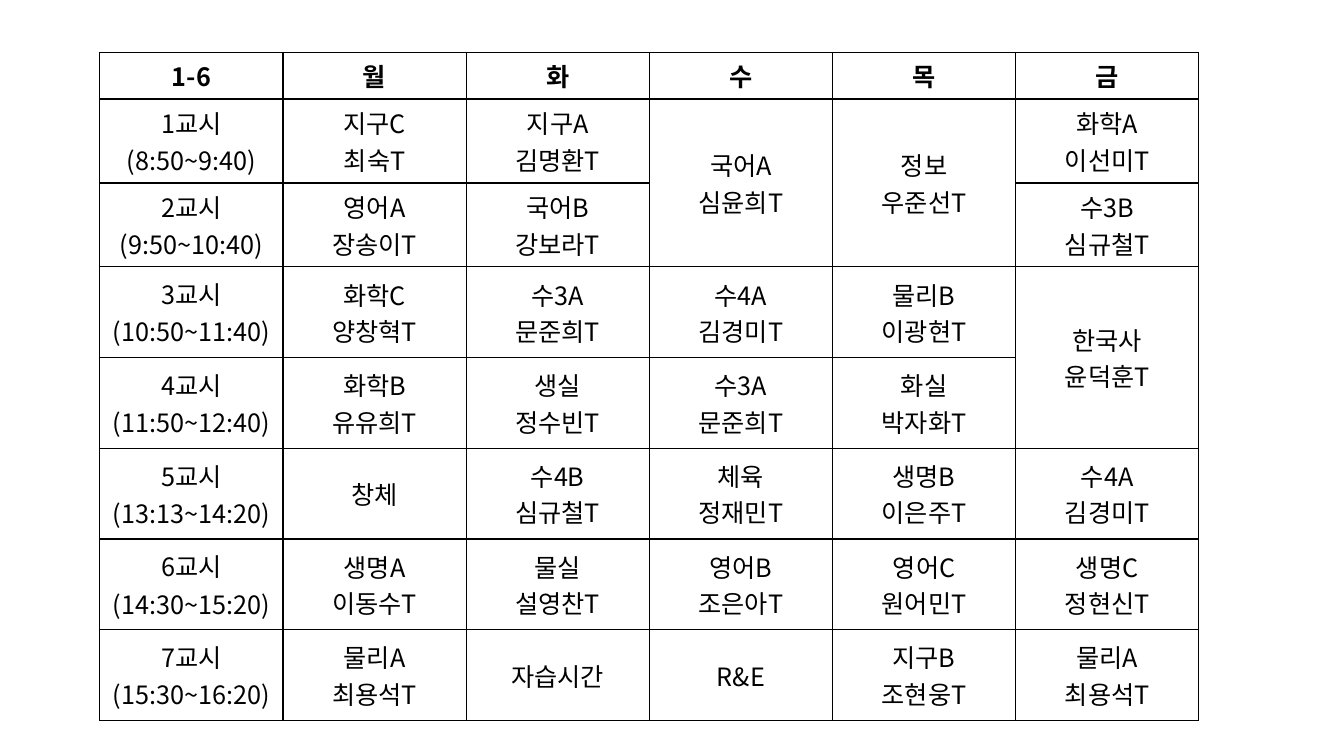
from dataclasses import dataclass

from lxml import etree
from pptx import Presentation
from pptx.dml.color import RGBColor
from pptx.enum.text import MSO_ANCHOR, PP_ALIGN
from pptx.oxml.ns import qn
from pptx.table import Table, _Cell
from pptx.util import Inches, Pt

BLACK = RGBColor(0x00, 0x00, 0x00)
WHITE = RGBColor(0xFF, 0xFF, 0xFF)
CENTER = PP_ALIGN.CENTER
MIDDLE = MSO_ANCHOR.MIDDLE

FONT = "Noto Sans CJK KR"
FONT_SIZE = Pt(18)
PERIOD_SPACING = Pt(0.3)
BORDER_WIDTH = Pt(1)
BORDER_SIDES = ("a:lnL", "a:lnR", "a:lnT", "a:lnB")
BLANK_LAYOUT = 6

SLIDE_WIDTH, SLIDE_HEIGHT = Inches(13.33), Inches(7.5)
TABLE_LEFT, TABLE_TOP, TABLE_WIDTH = Inches(0.99), Inches(0.52), Inches(10.9)
HEADER_HEIGHT, MORNING_HEIGHT, PERIOD_HEIGHT = Inches(0.46), Inches(0.83), Inches(0.9)
MORNING_PERIODS = 2


@dataclass(frozen=True)
class Lesson:
    """A subject with its teacher, lasting one or more periods."""

    subject: str
    teacher: str = ""
    periods: int = 1

    @property
    def lines(self) -> list[str]:
        """Return the lines that show in the cell."""
        return [line for line in (self.subject, self.teacher) if line]


@dataclass(frozen=True)
class Period:
    """A row of the timetable; None continues the lesson above."""

    time: str
    lessons: tuple[Lesson | None, ...]


HEADERS = ("1-6", "월", "화", "수", "목", "금")
PERIODS = (
    Period("8:50~9:40", (
        Lesson("지구C", "최숙T"), Lesson("지구A", "김명환T"), Lesson("국어A", "심윤희T", 2),
        Lesson("정보", "우준선T", 2), Lesson("화학A", "이선미T"))),
    Period("9:50~10:40", (
        Lesson("영어A", "장송이T"), Lesson("국어B", "강보라T"), None,
        None, Lesson("수3B", "심규철T"))),
    Period("10:50~11:40", (
        Lesson("화학C", "양창혁T"), Lesson("수3A", "문준희T"), Lesson("수4A", "김경미T"),
        Lesson("물리B", "이광현T"), Lesson("한국사", "윤덕훈T", 2))),
    Period("11:50~12:40", (
        Lesson("화학B", "유유희T"), Lesson("생실", "정수빈T"), Lesson("수3A", "문준희T"),
        Lesson("화실", "박자화T"), None)),
    Period("13:13~14:20", (
        Lesson("창체"), Lesson("수4B", "심규철T"), Lesson("체육", "정재민T"),
        Lesson("생명B", "이은주T"), Lesson("수4A", "김경미T"))),
    Period("14:30~15:20", (
        Lesson("생명A", "이동수T"), Lesson("물실", "설영찬T"), Lesson("영어B", "조은아T"),
        Lesson("영어C", "원어민T"), Lesson("생명C", "정현신T"))),
    Period("15:30~16:20", (
        Lesson("물리A", "최용석T"), Lesson("자습시간"), Lesson("R&E"),
        Lesson("지구B", "조현웅T"), Lesson("물리A", "최용석T"))),
)


def style_cell(cell: _Cell) -> None:
    """Give a cell black borders and a white fill."""
    properties = cell._tc.get_or_add_tcPr()
    for side in BORDER_SIDES:
        border = etree.SubElement(properties, qn(side), w=str(BORDER_WIDTH))
        fill = etree.SubElement(border, qn("a:solidFill"))
        etree.SubElement(fill, qn("a:srgbClr"), val=str(BLACK))
    cell.fill.solid()
    cell.fill.fore_color.rgb = WHITE
    cell.vertical_anchor = MIDDLE


def write_cell(cell: _Cell, lines: list[str], bold: bool = False, spaced: bool = False) -> None:
    """Write centred lines, one paragraph each."""
    cell.text = "\n".join(lines)
    for paragraph in cell.text_frame.paragraphs:
        paragraph.alignment = CENTER
        if spaced:
            paragraph.space_before = paragraph.space_after = PERIOD_SPACING
        font = paragraph.font
        font.size, font.bold, font.name = FONT_SIZE, bold, FONT
        font.color.rgb = BLACK
        etree.SubElement(font._element, qn("a:ea"), typeface=FONT)


def fill_timetable(table: Table) -> None:
    """Write the header row, the periods and their lessons."""
    for column, header in enumerate(HEADERS):
        write_cell(table.cell(0, column), [header], bold=True, spaced=column == 0)
    for row, period in enumerate(PERIODS, start=1):
        write_cell(table.cell(row, 0), [f"{row}교시", f"({period.time})"], spaced=True)
        for column, lesson in enumerate(period.lessons, start=1):
            if lesson is None:
                continue
            cell = table.cell(row, column)
            write_cell(cell, lesson.lines)
            if lesson.periods > 1:
                cell.merge(table.cell(row + lesson.periods - 1, column))


def build_deck() -> None:
    """Build the class timetable slide and save it."""
    deck = Presentation()
    deck.slide_width, deck.slide_height = SLIDE_WIDTH, SLIDE_HEIGHT
    page = deck.slides.add_slide(deck.slide_layouts[BLANK_LAYOUT])
    heights = [HEADER_HEIGHT] + [
        MORNING_HEIGHT if index < MORNING_PERIODS else PERIOD_HEIGHT
        for index in range(len(PERIODS))
    ]
    table = page.shapes.add_table(
        len(heights), len(HEADERS), TABLE_LEFT, TABLE_TOP, TABLE_WIDTH, sum(heights)
    ).table
    for row, height in zip(table.rows, heights):
        row.height = height
    for cell in table.iter_cells():
        style_cell(cell)
    fill_timetable(table)
    deck.save("out.pptx")


build_deck()
